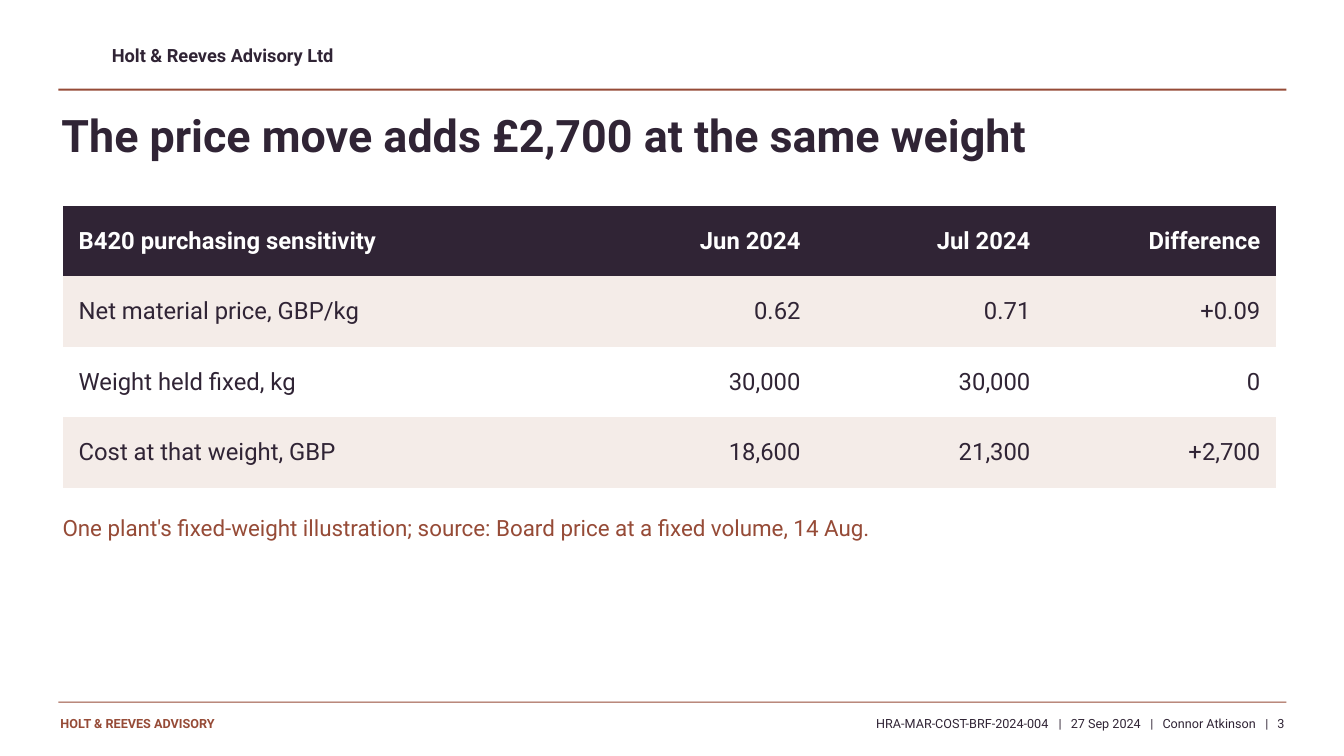
"""Build the price sensitivity slide with its ruled frame and table."""
from dataclasses import dataclass

import pptx
import pptx.dml.color
import pptx.enum.shapes
import pptx.enum.text
import pptx.oxml
import pptx.oxml.ns
import pptx.util

Inches = pptx.util.Inches
Align = pptx.enum.text.PP_ALIGN
Anchor = pptx.enum.text.MSO_ANCHOR
PLUM, RUST, BLUSH, WHITE = "302435", "964B37", "F4ECE8", "FFFFFF"


@dataclass(frozen=True)
class Rule:
    top: float
    height: float


@dataclass(frozen=True)
class Label:
    text: str
    left: float
    top: float
    width: float
    height: float
    size: float
    color: str
    bold: bool = False
    stops: tuple[float, ...] = ()


FOOTER_FIELDS = ("HRA-MAR-COST-BRF-2024-004", "27 Sep 2024", "Connor Atkinson", "3")
FIELD_STARTS = (1.93, 2.84, 3.98)
BAR_LEAD = 0.12
FOOTER_STOPS = tuple(stop for start in FIELD_STARTS for stop in (start - BAR_LEAD, start))

RULES = (Rule(0.88, 0.02), Rule(6.96, 0.01))
LABELS = (
    Label("Holt & Reeves Advisory Ltd", 1.11, 0.44, 6, 0.27, 13, PLUM, bold=True),
    Label("HOLT & REEVES ADVISORY", 0.6, 7.1, 3.4, 0.25, 9, RUST, bold=True),
    Label("One plant's fixed-weight illustration; source: Board price at a fixed volume, 14 Aug.",
          0.62, 5.1, 11.95, 0.72, 16, RUST),
    Label("\t|\t".join(FOOTER_FIELDS), 8.69, 7.1, 4.15, 0.22, 9, PLUM, stops=FOOTER_STOPS),
)
SENSITIVITY = (
    ("B420 purchasing sensitivity", "Jun 2024", "Jul 2024", "Difference"),
    ("Net material price, GBP/kg", "0.62", "0.71", "+0.09"),
    ("Weight held fixed, kg", "30,000", "30,000", "0"),
    ("Cost at that weight, GBP", "18,600", "21,300", "+2,700"),
)
COLUMN_WIDTHS = (5.2, 2.28, 2.28, 2.28)
ROW_HEIGHT = 0.7


def rgb(color: str) -> pptx.dml.color.RGBColor:
    return pptx.dml.color.RGBColor.from_string(color)


def write(frame, text: str, *, size: float, color: str, bold: bool = False,
          align: Align = Align.LEFT, stops: tuple[float, ...] = ()) -> None:
    frame.word_wrap = True
    paragraph = frame.paragraphs[0]
    paragraph.text = text
    paragraph.alignment = align
    if stops:
        tabs = pptx.oxml.parse_xml(f"<a:tabLst {pptx.oxml.ns.nsdecls('a')}/>")
        for stop in stops:
            tabs.append(pptx.oxml.parse_xml(
                f"<a:tab {pptx.oxml.ns.nsdecls('a')} pos='{Inches(stop)}' algn='l'/>"))
        paragraph._p.get_or_add_pPr().append(tabs)
    for run in paragraph.runs:
        run.font.name = "Roboto"
        run.font.size = pptx.util.Pt(size)
        run.font.bold = bold
        run.font.color.rgb = rgb(color)


def clear_insets(frame) -> None:
    frame.margin_left = frame.margin_right = frame.margin_top = frame.margin_bottom = 0
    frame.vertical_anchor = Anchor.TOP
    frame.auto_size = pptx.enum.text.MSO_AUTO_SIZE.NONE


def draw_rule(slide, rule: Rule) -> None:
    bar = slide.shapes.add_shape(pptx.enum.shapes.MSO_SHAPE.RECTANGLE, Inches(0.58),
                                 Inches(rule.top), Inches(12.18), Inches(rule.height))
    bar.shadow.inherit = False
    bar.fill.solid()
    bar.fill.fore_color.rgb = rgb(RUST)
    bar.line.fill.background()


def draw_label(slide, label: Label) -> None:
    frame = slide.shapes.add_textbox(Inches(label.left), Inches(label.top),
                                     Inches(label.width), Inches(label.height)).text_frame
    clear_insets(frame)
    write(frame, label.text, size=label.size, color=label.color, bold=label.bold,
          stops=label.stops)


def draw_title(slide, text: str) -> None:
    title = slide.shapes.title
    title.left, title.top = Inches(0.61), Inches(1.07)
    title.width, title.height = Inches(12), Inches(0.78)
    clear_insets(title.text_frame)
    write(title.text_frame, text, size=32, color=PLUM, bold=True)


def draw_sensitivity(slide) -> None:
    table = slide.shapes.add_table(
        len(SENSITIVITY), len(COLUMN_WIDTHS), Inches(0.62), Inches(2.04),
        Inches(sum(COLUMN_WIDTHS)), Inches(ROW_HEIGHT * len(SENSITIVITY))).table
    table.horz_banding = False
    table.first_row = False
    for column, width in zip(table.columns, COLUMN_WIDTHS):
        column.width = Inches(width)
    for row, values in enumerate(SENSITIVITY):
        table.rows[row].height = Inches(ROW_HEIGHT)
        header = row == 0
        fill = PLUM if header else BLUSH if row % 2 else WHITE
        for column, value in enumerate(values):
            cell = table.cell(row, column)
            cell.fill.solid()
            cell.fill.fore_color.rgb = rgb(fill)
            cell.vertical_anchor = Anchor.MIDDLE
            cell.margin_left = cell.margin_right = Inches(0.16)
            cell.margin_top = cell.margin_bottom = Inches(0.03)
            write(cell.text_frame, value, size=17, color=WHITE if header else PLUM,
                  bold=header, align=Align.RIGHT if column else Align.LEFT)
            borders = cell._tc.get_or_add_tcPr()
            for position, edge in enumerate(("lnL", "lnR", "lnT", "lnB")):
                borders.insert(position, pptx.oxml.parse_xml(
                    f"<a:{edge} {pptx.oxml.ns.nsdecls('a')} w='0'><a:noFill/></a:{edge}>"))


def main() -> None:
    deck = pptx.Presentation()
    deck.slide_width, deck.slide_height = Inches(13.33), Inches(7.5)
    slide = deck.slides.add_slide(deck.slide_layouts.get_by_name("Title Only"))
    for rule in RULES:
        draw_rule(slide, rule)
    draw_title(slide, "The price move adds £2,700 at the same weight")
    draw_sensitivity(slide)
    for label in LABELS:
        draw_label(slide, label)
    deck.save("out.pptx")


if __name__ == "__main__":
    main()
